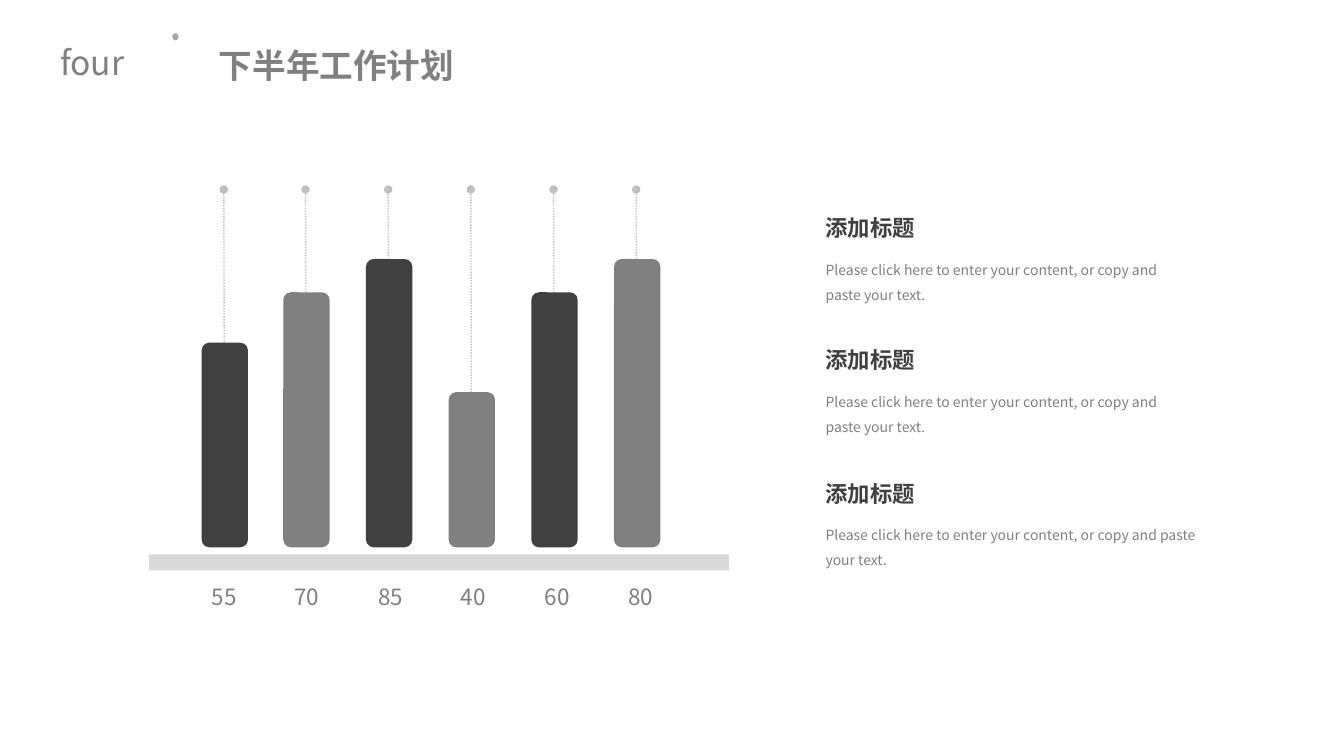
import pptx
import pptx.util
import pptx.dml.color
import pptx.enum.dml
import pptx.enum.shapes
import pptx.enum.text
import pptx.oxml.ns
import lxml.etree

RGBColor = pptx.dml.color.RGBColor
DARK = RGBColor(0x40, 0x40, 0x40)
GRAY = RGBColor(0x80, 0x80, 0x80)
DOT = RGBColor(0xA6, 0xA6, 0xA6)
ROD = RGBColor(0xBF, 0xBF, 0xBF)
BASE = RGBColor(0xD9, 0xD9, 0xD9)

SHAPE = pptx.enum.shapes.MSO_SHAPE
ALIGN = pptx.enum.text.PP_ALIGN
AUTO = pptx.enum.text.MSO_AUTO_SIZE
qn = pptx.oxml.ns.qn

BODY = "Please click here to enter your content, or copy and paste your text."
BARS = [("55", 203), ("70", 253), ("85", 286), ("40", 154), ("60", 253), ("80", 286)]
BAR_SPAN, LABEL_SPAN = 409, 413
BAR_BOTTOM = 543
BODY_WIDTHS = [385, 378, 396]


def px(length):
    return pptx.util.Emu(length * 9144)


class Board:
    """Draws elements in one type style on the current slide, in px of 1/100 inch."""

    font = "Noto Sans CJK SC"

    def __init__(self, slide):
        self.slide = slide

    def add_words(self, paragraph, words, size, color, bold=False):
        run = paragraph.add_run()
        run.text = words
        run.font.size = pptx.util.Pt(size)
        run.font.bold = bold
        run.font.color.rgb = color
        run.font.name = self.font
        east_asian = lxml.etree.SubElement(run.font._element, qn("a:ea"))
        east_asian.set("typeface", self.font)

    def title(self, words, left, top, width, height):
        heading = self.slide.shapes.title
        heading.left, heading.top = px(left), px(top)
        heading.width, heading.height = px(width), px(height)
        frame = heading.text_frame
        frame.margin_left, frame.margin_right = px(27), px(30)
        frame.margin_top = frame.margin_bottom = px(17)
        frame.vertical_anchor = pptx.enum.text.MSO_ANCHOR.MIDDLE
        frame.auto_size = AUTO.NONE
        frame.word_wrap = True
        paragraph = frame.paragraphs[0]
        paragraph.alignment = ALIGN.JUSTIFY
        paragraph.line_spacing = 0.9
        self.add_words(paragraph, words, 24, GRAY, True)

    def text(self, words, left, top, width, height, size, color, bold=False,
             align=ALIGN.LEFT, spacing=None, wrap=False, inset=True):
        box = self.slide.shapes.add_textbox(px(left), px(top), px(width), px(height))
        frame = box.text_frame
        frame.word_wrap = wrap
        frame.auto_size = AUTO.SHAPE_TO_FIT_TEXT
        if not inset:
            frame.margin_left = frame.margin_right = 0
            frame.margin_top = frame.margin_bottom = 0
        paragraph = frame.paragraphs[0]
        paragraph.alignment = align
        paragraph.line_spacing = spacing
        self.add_words(paragraph, words, size, color, bold)

    def block(self, kind, left, top, width, height, color):
        block = self.slide.shapes.add_shape(kind, px(left), px(top), px(width), px(height))
        block.shadow.inherit = False
        block.fill.solid()
        block.fill.fore_color.rgb = color
        block.line.fill.background()

    def rod(self, x, bottom, top):
        rod = self.slide.shapes.add_connector(
            pptx.enum.shapes.MSO_CONNECTOR.STRAIGHT, px(x + 1), px(bottom), px(x), px(top))
        rod.line.color.rgb = ROD
        rod.line.width = pptx.util.Pt(1)
        rod.line.dash_style = pptx.enum.dml.MSO_LINE.ROUND_DOT
        outline = rod.line._get_or_add_ln()
        lxml.etree.SubElement(outline, qn("a:tailEnd")).set("type", "oval")
        lxml.etree.SubElement(rod._element.spPr, qn("a:effectLst"))


def main():
    deck = pptx.Presentation()
    deck.slide_width, deck.slide_height = pptx.util.Inches(13.33), pptx.util.Inches(7.5)
    board = Board(deck.slides.add_slide(deck.slide_layouts.get_by_name("Title Only")))

    board.block(SHAPE.OVAL, 171, 33, 6, 7, DOT)
    board.text("four", 48, 37, 87, 50, 24, GRAY, align=ALIGN.CENTER)
    board.title("下半年工作计划", 190, 33, 483, 68)

    board.block(SHAPE.RECTANGLE, 148, 550, 575, 16, BASE)
    gaps = len(BARS) - 1
    for index, (value, height) in enumerate(BARS):
        bar_left = 200 + BAR_SPAN * index // gaps
        label_left = 205 + LABEL_SPAN * index // gaps
        board.rod(bar_left + 22, 541, 188)
        board.block(SHAPE.ROUNDED_RECTANGLE, bar_left, BAR_BOTTOM - height, 46, height,
                    GRAY if index % 2 else DARK)
        board.text(value, label_left, 573, 35, 41, 16, GRAY,
                   align=ALIGN.CENTER, spacing=1.2, inset=False)

    for index, width in enumerate(BODY_WIDTHS):
        top = 211 + 263 * index // 2
        board.text("添加标题", 809, top, 110, 34, 16, DARK, bold=True, spacing=0.9)
        board.text(BODY, 809, top + 35, width, 58, 10, GRAY,
                   spacing=pptx.util.Pt(18), wrap=True)

    deck.save("out.pptx")


if __name__ == "__main__":
    main()
